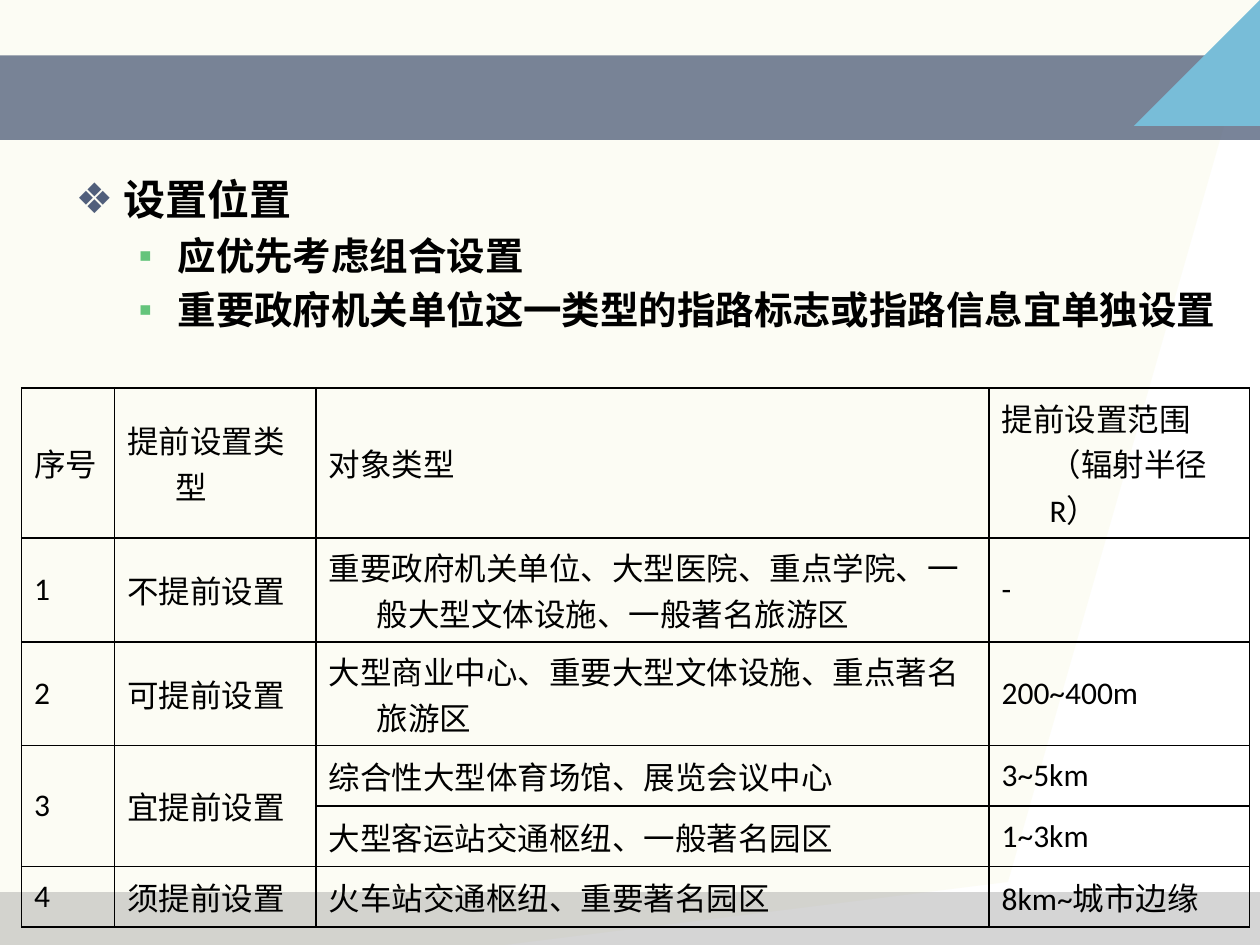
"""Build the slide on where guide signs are placed and how far ahead."""
from lxml import etree
from pptx import Presentation
from pptx import util as u
from pptx.dml.color import RGBColor
from pptx.enum import shapes, text
from pptx.oxml import ns

BLACK = RGBColor(0x00, 0x00, 0x00)
CREAM = RGBColor(0xEC, 0xEA, 0xAC)
GREY = RGBColor(0x96, 0x96, 0x96)
SLATE = RGBColor(0x51, 0x5F, 0x7B)
SKY = RGBColor(0x78, 0xBD, 0xD8)
GREEN = RGBColor(0x64, 0xC4, 0x7B)


def paint(shape, color, opacity=100):
    shape.shadow.inherit = False
    shape.line.fill.background()
    shape.fill.solid()
    shape.fill.fore_color.rgb = color
    if opacity < 100:
        tint = shape._element.spPr.find(ns.qn("a:solidFill"))[0]
        etree.SubElement(tint, ns.qn("a:alpha"), val=str(opacity * 1000))


def hang(paragraph, margin, indent):
    props = paragraph._p.get_or_add_pPr()
    props.set("marL", str(u.Inches(margin)))
    props.set("indent", str(u.Inches(-indent)))
    return props


deck = Presentation()
deck.slide_width, deck.slide_height = u.Inches(10), u.Inches(7.5)
slide = deck.slides.add_slide(deck.slide_layouts[1])
title, body = slide.placeholders
title._element.getparent().remove(title._element)
W, H = deck.slide_width, deck.slide_height

BAND_TOP, BAND_BOTTOM = 0.44, 1.11
panel = [(0, 0), (9.76, 0), (7.74, 7.49), (0, 7.5)]
corner = [(9.65, BAND_TOP), (9.48, BAND_BOTTOM), (10, BAND_BOTTOM), (10, BAND_TOP)]
footer = (0, 7.08, 10, 7.5)
header = (0, BAND_TOP, 10, BAND_BOTTOM)

for outline, color, opacity in [(panel, CREAM, 13), (footer, GREY, 40),
                                (header, SLATE, 77), (corner, SKY, 100)]:
    if isinstance(outline, list):
        builder = slide.shapes.build_freeform(*outline[0], scale=W / 10)
        builder.add_line_segments(outline[1:], close=True)
        area = builder.convert_to_shape()
    else:
        left, top, right, bottom = (u.Inches(edge) for edge in outline)
        area = slide.shapes.add_shape(
            shapes.MSO_SHAPE.RECTANGLE, left, top, right - left, bottom - top)
    paint(area, color, opacity)

slide.shapes._spTree.append(body._element)
body.left, body.top = int(W * 0.05), u.Inches(1.33)
body.width, body.height = u.Inches(9.33), u.Inches(5.58)
points = ["设置位置", "应优先考虑组合设置",
          "重要政府机关单位这一类型的指路标志或指路信息宜单独设置"]
body.text_frame.text = "\n".join(points)
body.text_frame.auto_size = text.MSO_AUTO_SIZE.NONE
levels = [(24, 0.38, 0.38, "❖", SLATE), (22, 0.81, 0.31, "▪", GREEN)]
for point in body.text_frame.paragraphs:
    first = point.text == points[0]
    size, margin, indent, mark, color = levels[0 if first else 1]
    point.level = 0 if first else 1
    point.alignment = text.PP_ALIGN.JUSTIFY
    props = hang(point, margin, indent)
    if first:
        point.space_before = u.Pt(0)
    bullet_color = etree.SubElement(props, ns.qn("a:buClr"))
    etree.SubElement(bullet_color, ns.qn("a:srgbClr"), val=str(color))
    etree.SubElement(props, ns.qn("a:buFont"), typeface="Arial")
    etree.SubElement(props, ns.qn("a:buChar"), char=mark)
    font = point.runs[0].font
    font.name, font.size, font.bold = "Arial", u.Pt(size), True
    font.color.rgb = BLACK

rows = [
    ("序号", "提前设置类型", "对象类型", "提前设置范围（辐射半径R）"),
    ("1", "不提前设置",
     "重要政府机关单位、大型医院、重点学院、一般大型文体设施、一般著名旅游区", "-"),
    ("2", "可提前设置", "大型商业中心、重要大型文体设施、重点著名旅游区", "200~400m"),
    ("3", "宜提前设置", "综合性大型体育场馆、展览会议中心", "3~5km"),
    ("", "", "大型客运站交通枢纽、一般著名园区", "1~3km"),
    ("4", "须提前设置", "火车站交通枢纽、重要著名园区", "8km~城市边缘"),
]
col_widths = [0.74, 1.6, 5.34, 2.07]
row_heights = [1.19, 0.82, 0.82, 0.48, 0.48, 0.48]
ranges = slide.shapes.add_table(
    len(rows), len(col_widths), u.Inches(0.17), u.Inches(3.08),
    u.Inches(sum(col_widths)), u.Inches(sum(row_heights))).table
ranges.first_row = ranges.horz_banding = False
for column, width in zip(ranges.columns, col_widths):
    column.width = u.Inches(width)
for row, height in zip(ranges.rows, row_heights):
    row.height = u.Inches(height)
for c in (0, 1):
    ranges.cell(3, c).merge(ranges.cell(4, c))

for r, entries in enumerate(rows):
    for c, entry in enumerate(entries):
        cell = ranges.cell(r, c)
        cell.vertical_anchor = text.MSO_ANCHOR.MIDDLE
        cell.fill.background()
        for i, side in enumerate(("lnL", "lnR", "lnT", "lnB")):
            outer = (c == 0 and side == "lnL") or (c == 3 and side == "lnR")
            border = etree.Element(ns.qn(f"a:{side}"), w=str(u.Pt(0.75 if outer else 1)))
            ink = etree.SubElement(border, ns.qn("a:solidFill"))
            etree.SubElement(ink, ns.qn("a:srgbClr"), val=str(BLACK))
            cell._tc.get_or_add_tcPr().insert(i, border)
        if entry:
            cell.text_frame.text = entry
            line = cell.text_frame.paragraphs[0]
            hang(line, 0.38, 0.38)
            font = line.runs[0].font
            font.name, font.size = "Calibri", u.Pt(18)
            font.color.rgb = BLACK

deck.save("out.pptx")
